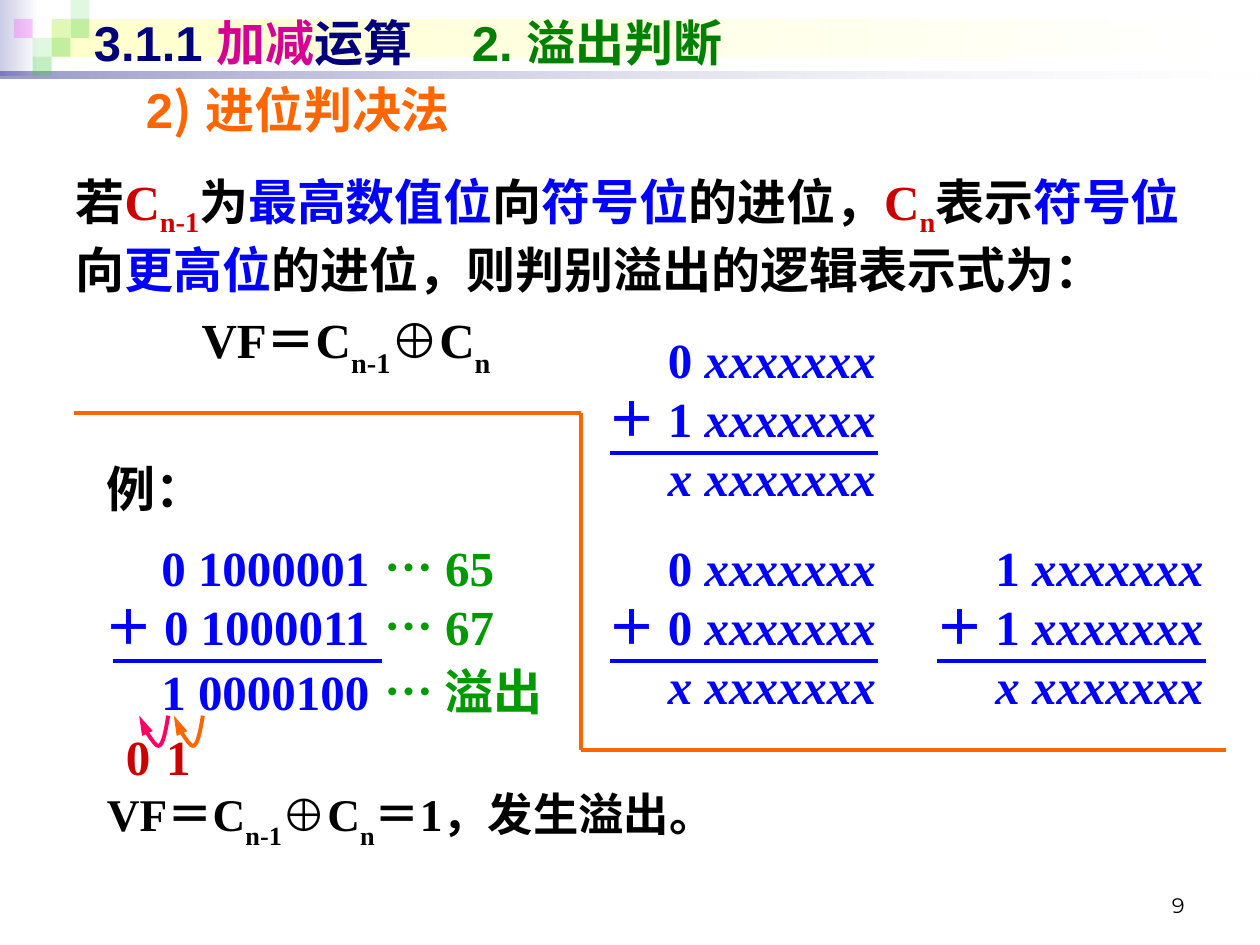
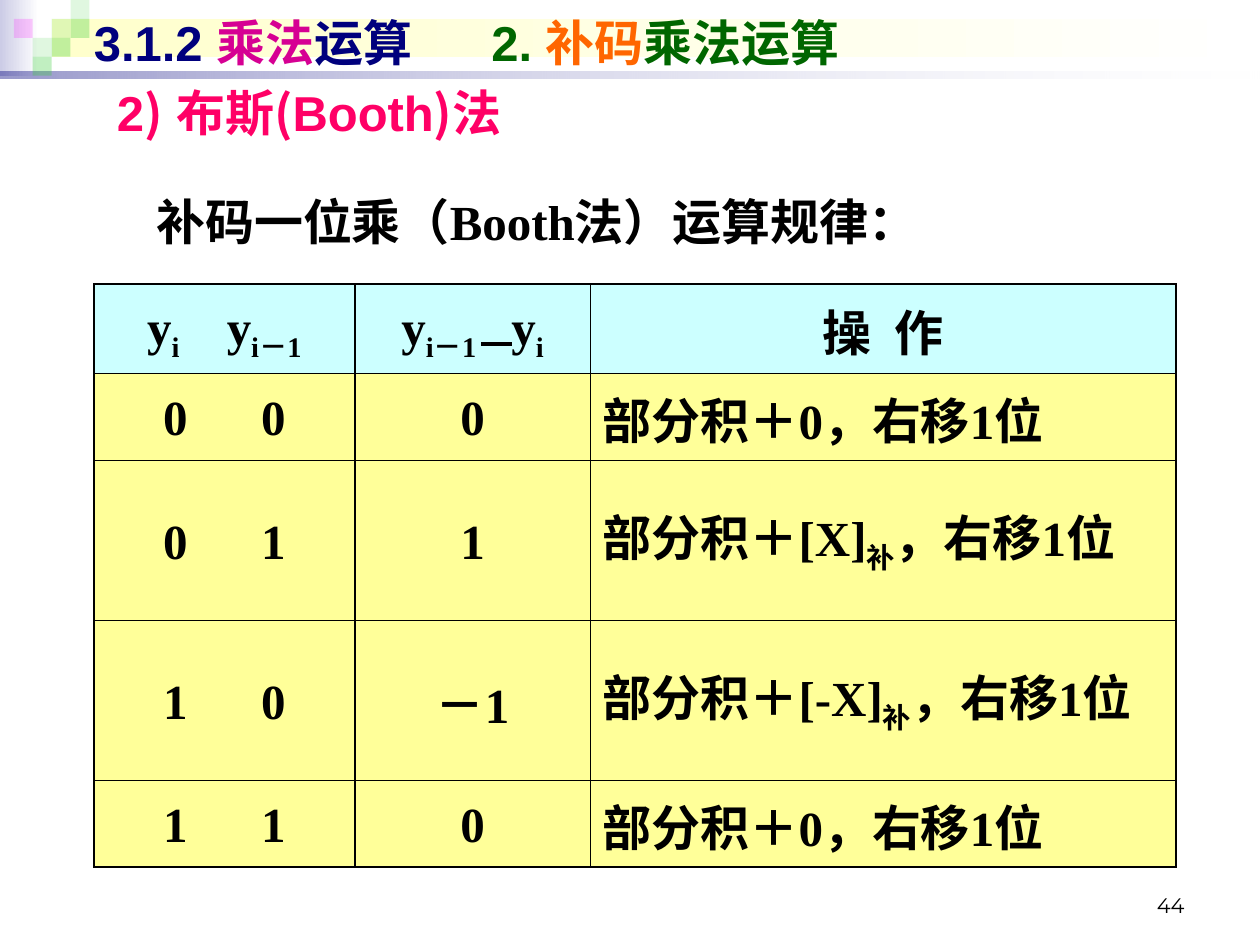
from dataclasses import dataclass
from itertools import pairwise
from typing import NamedTuple, Sequence, Union

from lxml.etree import SubElement
from pptx import Presentation
from pptx.dml.color import RGBColor
from pptx.enum.shapes import MSO_CONNECTOR as Connector, MSO_SHAPE as Preset
from pptx.enum.text import MSO_ANCHOR as Anchor, MSO_AUTO_SIZE as AutoSize, PP_ALIGN as Align
from pptx.oxml.ns import qn
from pptx.util import Inches, Pt

# The slide is a grid of 100 columns and 75 rows of equal size.
WIDTH, HEIGHT = Inches(10), Inches(7.5)
COLUMN, ROW = WIDTH / 100, HEIGHT / 75

NAVY, BLUE, MAGENTA, PINK = "00007D", "0000FF", "D60093", "FF0066"
GREEN, DARK_GREEN, LIGHT_GREEN = "008000", "006600", "009900"
ORANGE, RED, BLACK, WHITE = "FF6600", "CC0000", "000000", "FFFFFF"
CJK = "Noto Sans CJK SC"
LINE_WIDTH = 2.25
THICK, THIN = 1.08, 0.45


class Area(NamedTuple):
    left: float
    top: float
    width: float
    height: float


class Span(NamedTuple):
    text: str
    color: str = ""
    base: int = 0
    italic: bool = False
    font: str = ""
    spread: float = 0


@dataclass(frozen=True)
class Style:
    font: str = "Times New Roman"
    color: str = BLACK
    size: float = 28
    bold: bool = True
    spacing: float = 33.6
    align: Align = Align.LEFT
    anchor: Anchor = Anchor.TOP


@dataclass(frozen=True)
class Line:
    spans: Sequence[Union[str, Span]]
    before: float = 0
    margin: float = 0


@dataclass(frozen=True)
class Addition:
    left: float
    top: float
    lines: Sequence[Line]
    rule_left: float


class Tile(NamedTuple):
    column: int
    row: int
    opacity: int
    color: str = "33CC33"


class Shade(NamedTuple):
    area: Area
    color: str
    opacities: tuple[int, int] = (100, 100)


BODY = Style()
TITLE = Style("Arial", NAVY, anchor=Anchor.MIDDLE)
SUM = Style(color=BLUE, align=Align.RIGHT)
PAGE_NUMBER = Style("Montserrat", size=12, bold=False, spacing=15,
                    align=Align.RIGHT, anchor=Anchor.BOTTOM)

SHADES = (Shade(Area(0, 0, 3.1, 6), "CCCCE6"),
          Shade(Area(4.1, 1.5, 95.5, 3), "FFFFCC"),
          Shade(Area(0, 5.7, 100, 0.5), NAVY, (10, 40)))
TILES = (Tile(2, 1, 15), Tile(3, 0, 15), Tile(3, 1, 30), Tile(1, 2, 15),
         Tile(0, 1, 20, "FF00FF"), Tile(2, 2, 30), Tile(1, 3, 30))
TILE_SIZE, TILES_LEFT = 1.5, 1.1


def rgb(color: str) -> RGBColor:
    return RGBColor.from_string(color)


def emu(area: Area) -> tuple[int, int, int, int]:
    return (round(area.left * COLUMN), round(area.top * ROW),
            round(area.width * COLUMN), round(area.height * ROW))


def gap(spread: float) -> Span:
    """One space widened by the given number of points."""
    return Span(" ", spread=spread)


def write(frame, lines: Sequence[Line], style: Style) -> None:
    frame.text = "\n" * (len(lines) - 1)
    for para, line in zip(frame.paragraphs, lines):
        properties = para._p.get_or_add_pPr()
        properties.set("marL", str(round(line.margin * COLUMN)))
        properties.set("indent", "0")
        SubElement(properties, qn("a:buNone"))
        para.alignment = style.align
        para.line_spacing = Pt(style.spacing)
        para.space_before = Pt(line.before)
        for item in line.spans:
            span = Span(item) if isinstance(item, str) else item
            run = para.add_run()
            run.text = span.text
            font = run.font
            font.name = span.font or style.font
            font.size, font.bold, font.italic = Pt(style.size), style.bold, span.italic
            font.color.rgb = rgb(span.color or style.color)
            SubElement(run._r.rPr, qn("a:ea"), typeface=CJK)
            if span.base:
                run._r.rPr.set("baseline", str(span.base * 1000))
            if span.spread:
                run._r.rPr.set("spc", str(round(span.spread * 100)))


def write_shape(shape, area: Area, lines: Sequence[Line], style: Style) -> None:
    shape.left, shape.top, shape.width, shape.height = emu(area)
    frame = shape.text_frame
    frame.word_wrap = True
    frame.auto_size = AutoSize.NONE
    frame.vertical_anchor = style.anchor
    write(frame, lines, style)


def add_text(page, area: Area, lines: Sequence[Line], style: Style = BODY) -> None:
    write_shape(page.shapes.add_textbox(*emu(area)), area, lines, style)


def add_line(page, start: tuple[float, float], end: tuple[float, float], color: str) -> None:
    line = page.shapes.add_connector(
        Connector.STRAIGHT, round(start[0] * COLUMN), round(start[1] * ROW),
        round(end[0] * COLUMN), round(end[1] * ROW))
    line.line.color.rgb = rgb(color)
    line.line.width = Pt(LINE_WIDTH)
    SubElement(line._element.spPr, qn("a:effectLst"))


def set_opacity(color_element, percent: int) -> None:
    SubElement(color_element, qn("a:alpha"), val=str(percent * 1000))


def decorate(layout, page) -> None:
    """Draw the shaded bands and tiles on a page, then hand them to its layout."""

    def add_block(area: Area):
        block = page.shapes.add_shape(Preset.RECTANGLE, *emu(area))
        block.shadow.inherit = False
        block.line.fill.background()
        layout.shapes.element.append(block._element)
        return block

    for shade in SHADES:
        fill = add_block(shade.area).fill
        fill.gradient()
        fill.gradient_angle = 180
        for stop, color, opacity in zip(fill.gradient_stops, (WHITE, shade.color),
                                        shade.opacities):
            stop.color.rgb = rgb(color)
            set_opacity(stop._gs.find(qn("a:srgbClr")), opacity)
    for tile in TILES:
        block = add_block(Area(TILES_LEFT + tile.column * TILE_SIZE, tile.row * TILE_SIZE,
                               TILE_SIZE, TILE_SIZE))
        block.fill.solid()
        block.fill.fore_color.rgb = rgb(tile.color)
        set_opacity(block._element.spPr.find(f".//{qn('a:srgbClr')}"), tile.opacity)


def add_page(deck, title: Line, number: str):
    page = deck.slides.add_slide(deck.slide_layouts[1])
    write_shape(page.shapes.title, Area(6.45, 0.5, 90, 5.7), [title], TITLE)
    add_text(page, Area(71.7, 68.3, 23.3, 5), [Line([number])], PAGE_NUMBER)
    return page


def add_addition(page, addition: Addition) -> None:
    left, top = addition.left, addition.top
    add_text(page, Area(left, top, 27.6, 15.5), addition.lines, SUM)
    rule_left, rule_top = left + addition.rule_left, top + 10.25
    add_line(page, (rule_left, rule_top), (rule_left + 21.3, rule_top), BLUE)


def unknown_addition(left: float, top: float, first: int, second: int) -> Addition:
    digits = Span("xxxxxxx", italic=True)
    lines = [Line([f"{first} ", digits]), Line([f"＋ {second} ", digits]),
             Line([Span("x xxxxxxx", italic=True)])]
    return Addition(left, top, lines, 5.5)


def bezier(points: Sequence[tuple[float, float]], steps: int = 10) -> list[tuple[float, float]]:
    """Sample a cubic curve, leaving out its starting point."""
    samples = []
    for step in range(1, steps + 1):
        t = step / steps
        weights = ((1 - t) ** 3, 3 * t * (1 - t) ** 2, 3 * t * t * (1 - t), t ** 3)
        samples.append(tuple(sum(w * p[axis] for w, p in zip(weights, points))
                             for axis in (0, 1)))
    return samples


def add_carry_arrow(page, left: float, color: str) -> None:
    top = 56.8
    start, bottom = (left + 2.3, top), (left + 1.5, top + 2.4)
    curve = (bezier([start, (left + 2.1, top + 1.2), (left + 1.9, top + 2.4), bottom])
             + bezier([bottom, (left + 1.1, top + 2.4), (left - 0.4, top - 0.4), (left, top)]))
    builder = page.shapes.build_freeform(round(start[0] * COLUMN), round(start[1] * ROW))
    builder.add_line_segments([(round(x * COLUMN), round(y * ROW)) for x, y in curve],
                              close=False)
    arrow = builder.convert_to_shape()
    arrow.shadow.inherit = False
    arrow.fill.background()
    arrow.line.color.rgb = rgb(color)
    arrow.line.width = Pt(LINE_WIDTH)
    SubElement(arrow.line._get_or_add_ln(), qn("a:tailEnd"), type="triangle", len="lg")


def overflow_formula(result: str = "") -> list[Union[str, Span]]:
    spans = ["VF＝C", Span("n-1", base=-30), "⊕C", Span("n", base=-30)]
    return spans + [result] if result else spans


def build_overflow_page(page) -> None:
    write_shape(page.placeholders[1], Area(5, 13.64, 93, 17), [
        Line(["若", Span("C", RED), Span("n-1", RED, -25), "为", Span("最高数值位", BLUE), "向",
              Span("符号位", BLUE), "的进位，", Span("C", RED), Span("n", RED, -25), "表示",
              Span("符号位", BLUE), "向", Span("更高位", BLUE),
              "的进位，则判别溢出的逻辑表示式为："]),
        Line(overflow_formula(), before=11.8, margin=10),
    ], Style(spacing=34.3))
    add_text(page, Area(10.6, 5.8, 86.9, 5.7),
             [Line(["2", Span(")", font=CJK), " 进位判决法"])],
             Style("Arial", ORANGE, anchor=Anchor.MIDDLE))
    add_text(page, Area(7.5, 35.9, 25.2, 6.3), [Line(["例："])])

    example = [Line(["0 1000001"]), Line(["＋ 0 1000011"]), Line(["1 0000100"], before=3.5)]
    for addition in (Addition(2.7, 42.2, example, 6.3),
                     unknown_addition(42.9, 25.7, 0, 1),
                     unknown_addition(42.9, 42.2, 0, 0),
                     unknown_addition(68.9, 42.2, 1, 1)):
        add_addition(page, addition)
    dots = Span("…", font=CJK)
    add_text(page, Area(29.5, 42.2, 16.5, 15.5),
             [Line([dots, " 65"]), Line([dots, " 67"]),
              Line([Span("… ", font=CJK), "溢出"], before=3.5)],
             Style(color=LIGHT_GREEN))

    for left, color in ((13.8, ORANGE), (11.05, PINK)):
        add_carry_arrow(page, left, color)
    for left, carry in ((12.2, "1"), (9, "0")):
        add_text(page, Area(left, 57.2, 3.9, 5.7), [Line([carry])], Style(color=RED))
    add_text(page, Area(7.5, 61.9, 57.5, 6.3),
             [Line(overflow_formula("＝1，发生溢出。"))], Style(size=25.9, spacing=37))
    for start, end in pairwise([(5.9, 32.8), (46.1, 32.8), (46.1, 59.5), (97.3, 59.5)]):
        add_line(page, start, end, ORANGE)


def format_cell(cell, fill: str, top: float, bottom: float) -> None:
    properties = cell._tc.get_or_add_tcPr()
    for side, width in (("L", THICK), ("R", THICK), ("T", top), ("B", bottom)):
        border = SubElement(properties, qn(f"a:ln{side}"), w=str(Pt(width)))
        SubElement(SubElement(border, qn("a:solidFill")), qn("a:srgbClr"), val=BLACK)
    cell.fill.solid()
    cell.fill.fore_color.rgb = rgb(fill)
    cell.vertical_anchor = Anchor.MIDDLE


def action(addend: str, subscript: str = "") -> Line:
    if not subscript:
        return Line([f"部分积＋{addend}，右移1位"])
    return Line([f"部分积＋{addend}", Span(subscript, base=-25), "，右移1位"])


def bit_pair(first: int, second: int) -> Line:
    return Line([str(first), gap(35), str(second)])


def build_booth_page(page) -> None:
    add_text(page, Area(8.3, 6, 87.6, 5.7),
             [Line(["2", Span(")", font=CJK), " 布斯", Span("(", font=CJK), "Booth",
                    Span(")", font=CJK), "法"])],
             Style("Arial", PINK, anchor=Anchor.MIDDLE))
    write_shape(page.placeholders[1], Area(11.4, 14.7, 85.1, 6.3),
                [Line(["补码一位乘（Booth法）运算规律："])], BODY)

    current, previous = Span("i", base=-25), Span("i－1", base=-25)
    rules = [
        (Line(["y", current, gap(20), "y", previous]),
         Line(["y", previous, gap(13), "y", current]), Line(["操", gap(7), "作"])),
        (bit_pair(0, 0), Line(["0"]), action("0")),
        (bit_pair(0, 1), Line(["1"]), action("[X]", "补")),
        (bit_pair(1, 0), Line(["－1"]), action("[-X]", "补")),
        (bit_pair(1, 1), Line(["0"]), action("0")),
    ]
    widths, heights = (20.7, 18.7, 46.5), (7.1, 6.9, 12.7, 12.7, 6.9)
    area = Area(7.46, 22.54, sum(widths), sum(heights))
    table = page.shapes.add_table(len(heights), len(widths), *emu(area)).table
    table.first_row = table.horz_banding = False
    for column, width in zip(table.columns, widths):
        column.width = round(width * COLUMN)
    last = len(rules) - 1
    for index, (row, height, lines) in enumerate(zip(table.rows, heights, rules)):
        row.height = round(height * ROW)
        for place, (cell, line) in enumerate(zip(row.cells, lines)):
            format_cell(cell, "FFFF99" if index else "CCFFFF",
                        top=THICK if index < 2 else THIN,
                        bottom=THICK if index in (0, last) else THIN)
            only_digits = line.spans[0] in ("0", "1")
            is_action = index > 0 and place == 2
            write(cell.text_frame, [line], Style(spacing=33.6 if only_digits else 42,
                                                 align=Align.LEFT if is_action else Align.CENTER))
    add_line(page, (38.2, 27.3), (40.6, 27.3), BLACK)


def main() -> None:
    deck = Presentation()
    deck.slide_width, deck.slide_height = WIDTH, HEIGHT
    overflow = add_page(deck, Line(["3.1.1 ", Span("加减", MAGENTA), "运算\t",
                                    Span("2. 溢出判断", GREEN)]), "9")
    booth = add_page(deck, Line(["3.1.2 ", Span("乘法", MAGENTA), "运算", gap(39),
                                 Span("2. ", DARK_GREEN), Span("补码", ORANGE),
                                 Span("乘法运算", DARK_GREEN)]), "44")
    decorate(deck.slide_layouts[1], overflow)
    build_overflow_page(overflow)
    build_booth_page(booth)
    deck.save("out.pptx")


if __name__ == "__main__":
    main()
